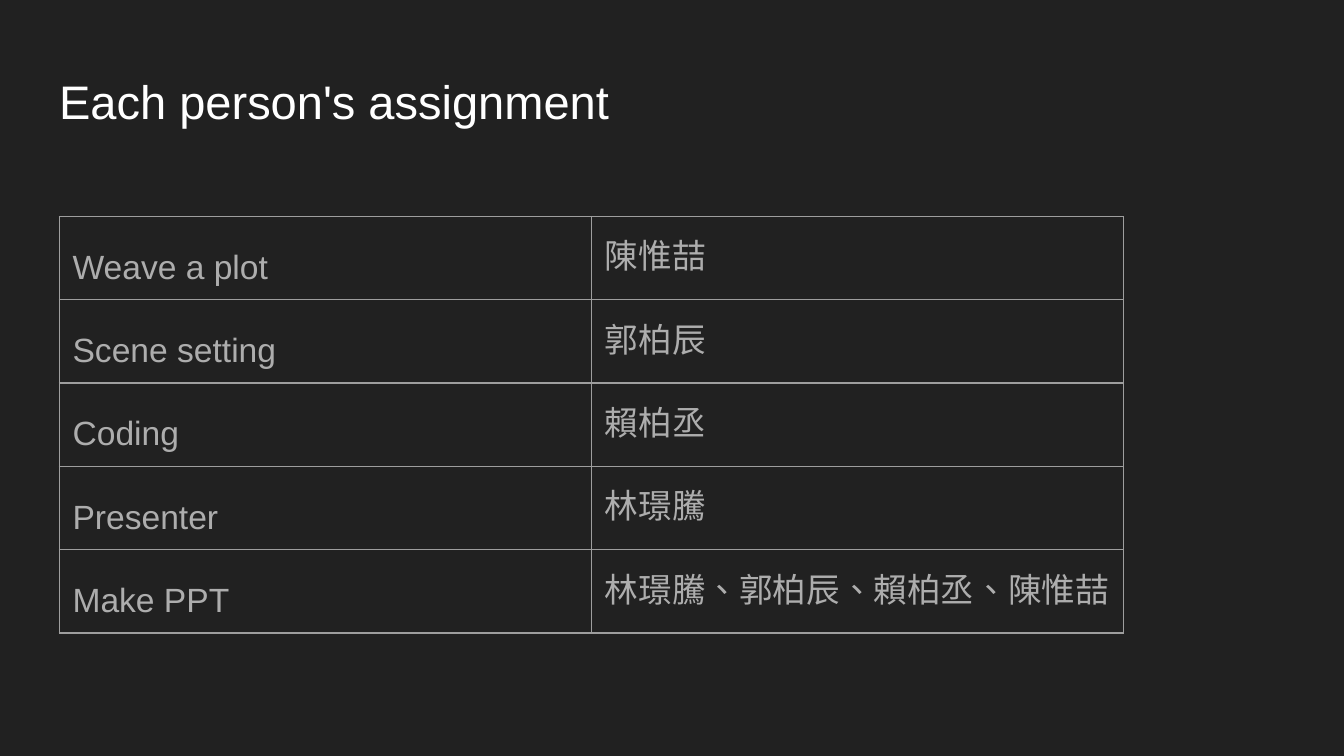
from lxml import etree
from pptx import Presentation
from pptx.dml.color import RGBColor
from pptx.enum.text import MSO_ANCHOR, MSO_AUTO_SIZE, PP_ALIGN
from pptx.oxml.ns import qn
from pptx.util import Inches, Pt

FONT = "Arial"
BACKGROUND, WHITE, GREY, BORDER = "212121", "FFFFFF", "ADADAD", "9E9E9E"
PADDING = Inches(0.1)
ASSIGNMENTS = [
    ("Weave a plot", "陳惟喆"),
    ("Scene setting", "郭柏辰"),
    ("Coding", "賴柏丞"),
    ("Presenter", "林璟騰"),
    ("Make PPT", "林璟騰、郭柏辰、賴柏丞、陳惟喆"),
]


def color(value):
    return RGBColor.from_string(value)


def set_font(paragraph, size, value):
    paragraph.font.name = FONT
    paragraph.font.size = Pt(size)
    paragraph.font.color.rgb = color(value)


def set_padding(target):
    target.margin_left = target.margin_right = PADDING
    target.margin_top = target.margin_bottom = PADDING


def set_borders(cell, value, width):
    properties = cell._tc.get_or_add_tcPr()
    for position, side in enumerate(("a:lnL", "a:lnR", "a:lnT", "a:lnB")):
        line = etree.Element(qn(side), w=str(Pt(width)))
        fill = etree.SubElement(line, qn("a:solidFill"))
        etree.SubElement(fill, qn("a:srgbClr"), val=value)
        properties.insert(position, line)


def place_title(slide, text, left, top, width, height):
    title = slide.shapes.title
    title.left, title.top = Inches(left), Inches(top)
    title.width, title.height = Inches(width), Inches(height)
    frame = title.text_frame
    frame.text = text
    frame.word_wrap = True
    frame.auto_size = MSO_AUTO_SIZE.NONE
    frame.vertical_anchor = MSO_ANCHOR.TOP
    set_padding(frame)
    paragraph = frame.paragraphs[0]
    paragraph.alignment = PP_ALIGN.LEFT
    paragraph.line_spacing = 0.9
    set_font(paragraph, 25.2, WHITE)


def fill_cell(cell, text):
    cell.text = text
    cell.fill.background()
    set_padding(cell)
    set_borders(cell, BORDER, 0.75)
    paragraph = cell.text_frame.paragraphs[0]
    set_font(paragraph, 18, GREY)
    return paragraph


def add_assignment_table(slide, rows, left, top, width, height):
    table = slide.shapes.add_table(
        len(rows), 2, Inches(left), Inches(top), Inches(width), Inches(height)
    ).table
    table.first_row = table.horz_banding = False
    for index, (task, people) in enumerate(rows):
        task_paragraph = fill_cell(table.cell(index, 0), task)
        task_paragraph.line_spacing = 1.5
        task_paragraph.space_after = Pt(12)
        people_paragraph = fill_cell(table.cell(index, 1), people)
        # Traditional Chinese centres the enumeration comma
        people_paragraph.runs[0]._r.get_or_add_rPr().set("lang", "zh-TW")


def main():
    presentation = Presentation()
    presentation.slide_width = Inches(10)
    presentation.slide_height = Inches(5.625)  # 16:9
    slide = presentation.slides.add_slide(presentation.slide_layouts[5])
    slide.background.fill.solid()
    slide.background.fill.fore_color.rgb = color(BACKGROUND)
    place_title(slide, "Each person's assignment", 0.34, 0.49, 9.32, 0.63)
    add_assignment_table(slide, ASSIGNMENTS, 0.44, 1.61, 7.92, 2.76)
    presentation.save("out.pptx")


if __name__ == "__main__":
    main()
